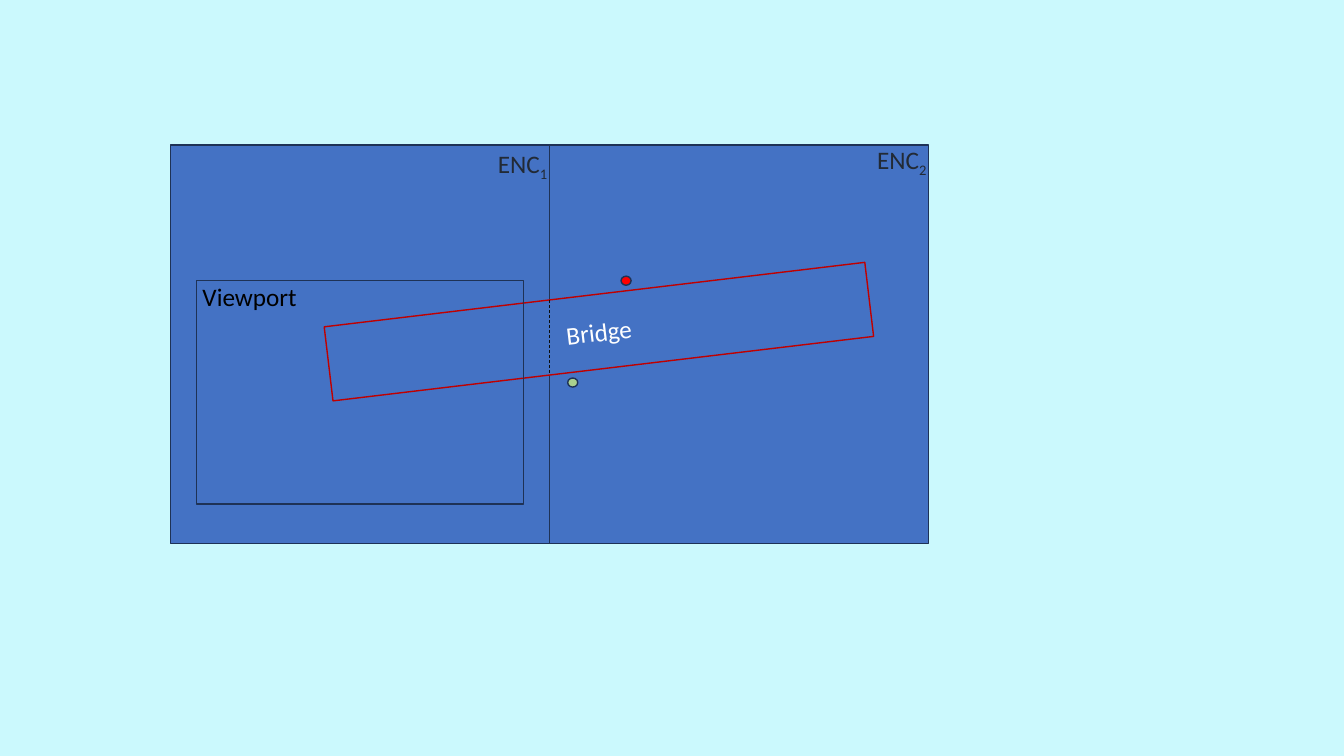
"""Build a slide of a bridge that spans two chart cells and a viewport."""
from lxml import etree
from pptx import Presentation
from pptx.dml.color import RGBColor
from pptx.enum.dml import MSO_LINE
from pptx.enum.shapes import MSO_CONNECTOR, MSO_SHAPE
from pptx.enum.text import MSO_ANCHOR, MSO_AUTO_SIZE, PP_ALIGN
from pptx.oxml.ns import qn
from pptx.util import Inches, Pt

RECTANGLE, OVAL = MSO_SHAPE.RECTANGLE, MSO_SHAPE.OVAL
STRAIGHT = MSO_CONNECTOR.STRAIGHT
DASH = MSO_LINE.DASH
MIDDLE, CENTER = MSO_ANCHOR.MIDDLE, PP_ALIGN.CENTER
FIT_SHAPE = MSO_AUTO_SIZE.SHAPE_TO_FIT_TEXT

BACKGROUND = RGBColor(0xCB, 0xF9, 0xFD)
BLUE = RGBColor(0x44, 0x72, 0xC4)
NAVY = RGBColor(0x1E, 0x32, 0x56)
DARK_RED = RGBColor(0xC0, 0x00, 0x00)
RED = RGBColor(0xFF, 0x00, 0x00)
GREEN = RGBColor(0xA9, 0xD1, 0x8E)
WHITE = RGBColor(0xFF, 0xFF, 0xFF)
BLACK = RGBColor(0x00, 0x00, 0x00)
NEAR_BLACK = RGBColor(0x0D, 0x0D, 0x0D)
SLATE = RGBColor(0x22, 0x2A, 0x35)

SLIDE_WIDTH, SLIDE_HEIGHT = Inches(13.33), Inches(7.5)
CELL_LEFT, CELL_TOP = 12.68, 19.2
CELL_WIDTH, CELL_HEIGHT = 28.21, 52.67
BORDER = CELL_LEFT + CELL_WIDTH


def across(percent):
    """Return a share of the slide's width."""
    return round(SLIDE_WIDTH * percent / 100)


def down(percent):
    """Return a share of the slide's height."""
    return round(SLIDE_HEIGHT * percent / 100)


def place(left, top, width, height):
    """Return a box given in percent of the slide as lengths."""
    return across(left), down(top), across(width), down(height)


def add_outlined(slide, kind, box, fill=None, line=NAVY):
    """Add a preset shape with a thin outline and an optional fill."""
    shape = slide.shapes.add_shape(kind, *place(*box))
    shape.shadow.inherit = False
    if fill is None:
        shape.fill.background()
    else:
        shape.fill.solid()
        shape.fill.fore_color.rgb = fill
    shape.line.color.rgb = line
    shape.line.width = Pt(1)
    return shape


def add_run(paragraph, text, color, subscript=False):
    """Append one run of label text."""
    run = paragraph.add_run()
    run.text = text
    run.font.name = "Calibri"
    run.font.size = Pt(18)
    run.font.color.rgb = color
    if subscript:
        run.font._element.set("baseline", "-25000")


def add_label(slide, box, text, color, subscript=""):
    """Add an unwrapped label with an optional subscript."""
    label = slide.shapes.add_textbox(*place(*box))
    frame = label.text_frame
    frame.word_wrap = False
    frame.auto_size = FIT_SHAPE
    add_run(frame.paragraphs[0], text, color)
    if subscript:
        add_run(frame.paragraphs[0], subscript, color, subscript=True)


def add_bridge(slide):
    """Add the tilted bridge with its name."""
    bridge = add_outlined(slide, RECTANGLE, (24.31, 38.93, 40.51, 9.87), BLUE, DARK_RED)
    bridge.rotation = 353.2
    bridge.text_frame.vertical_anchor = MIDDLE
    paragraph = bridge.text_frame.paragraphs[0]
    paragraph.alignment = CENTER
    add_run(paragraph, "Bridge", WHITE)


def add_hidden_border(slide, top, bottom):
    """Add the dashed part of the cell border under the bridge."""
    border = slide.shapes.add_connector(
        STRAIGHT, across(BORDER), down(top), across(BORDER), down(bottom))
    border.line.color.rgb = NEAR_BLACK
    border.line.width = Pt(0.5)
    border.line.dash_style = DASH
    etree.SubElement(border._element.spPr, qn("a:effectLst"))


def main():
    """Build and save the slide."""
    presentation = Presentation()
    presentation.slide_width, presentation.slide_height = SLIDE_WIDTH, SLIDE_HEIGHT
    slide = presentation.slides.add_slide(presentation.slide_layouts[6])
    slide.background.fill.solid()
    slide.background.fill.fore_color.rgb = BACKGROUND

    for left in (CELL_LEFT, BORDER):
        add_outlined(slide, RECTANGLE, (left, CELL_TOP, CELL_WIDTH, CELL_HEIGHT), BLUE)
    add_bridge(slide)
    add_outlined(slide, RECTANGLE, (14.63, 37.07, 24.31, 29.6))
    add_label(slide, (14.33, 36.53, 8.63, 5.33), "Viewport", BLACK)
    add_hidden_border(slide, 39.73, 49.33)
    for number, left, top in (("1", 36.31, 18.93), ("2", 64.52, 18.4)):
        add_label(slide, (left, top, 5.33, 5.33), "ENC", SLATE, number)
    for left, top, color in ((46.21, 36.53, RED), (42.24, 50, GREEN)):
        add_outlined(slide, OVAL, (left, top, 0.75, 1.2), color)

    presentation.save("out.pptx")


if __name__ == "__main__":
    main()
